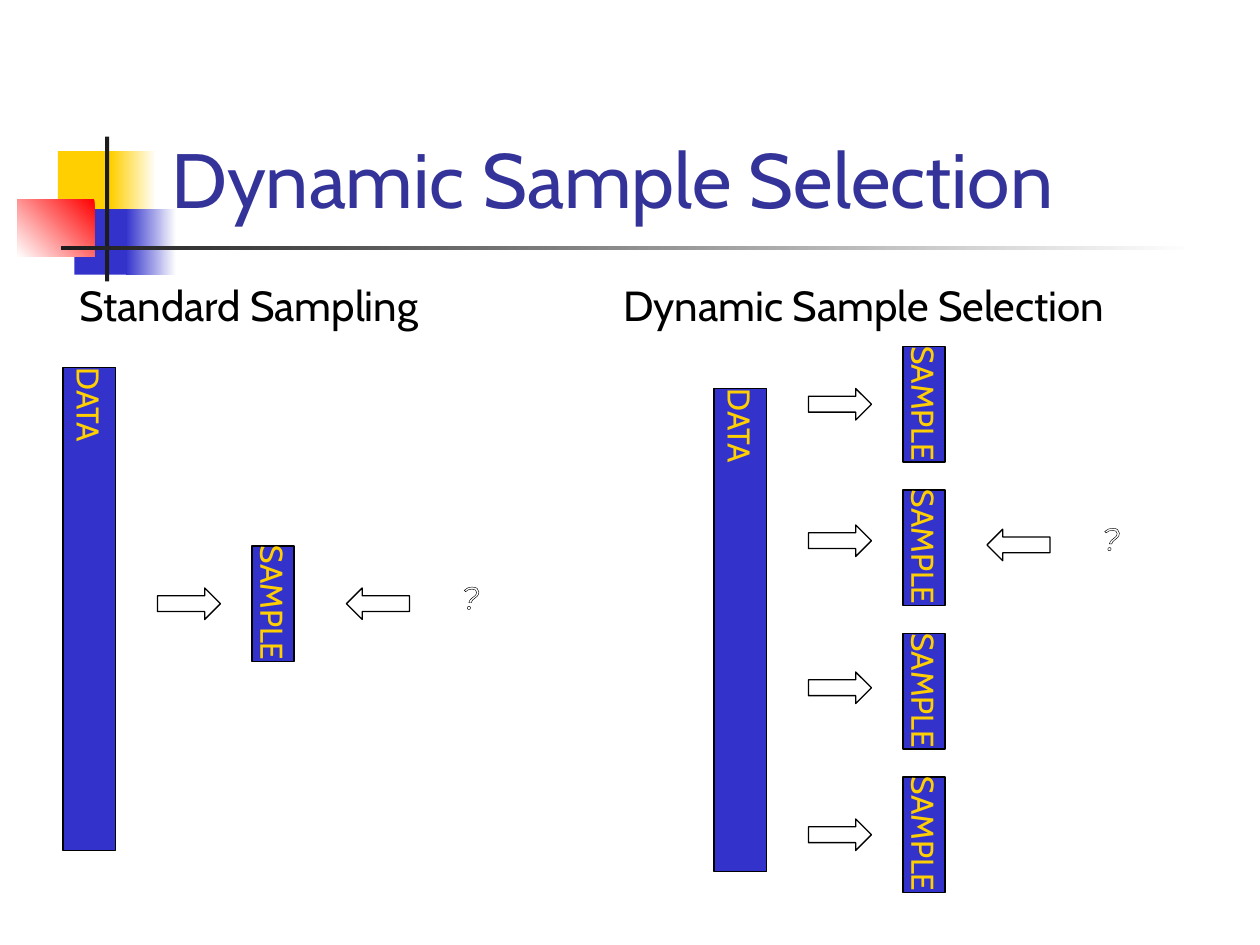
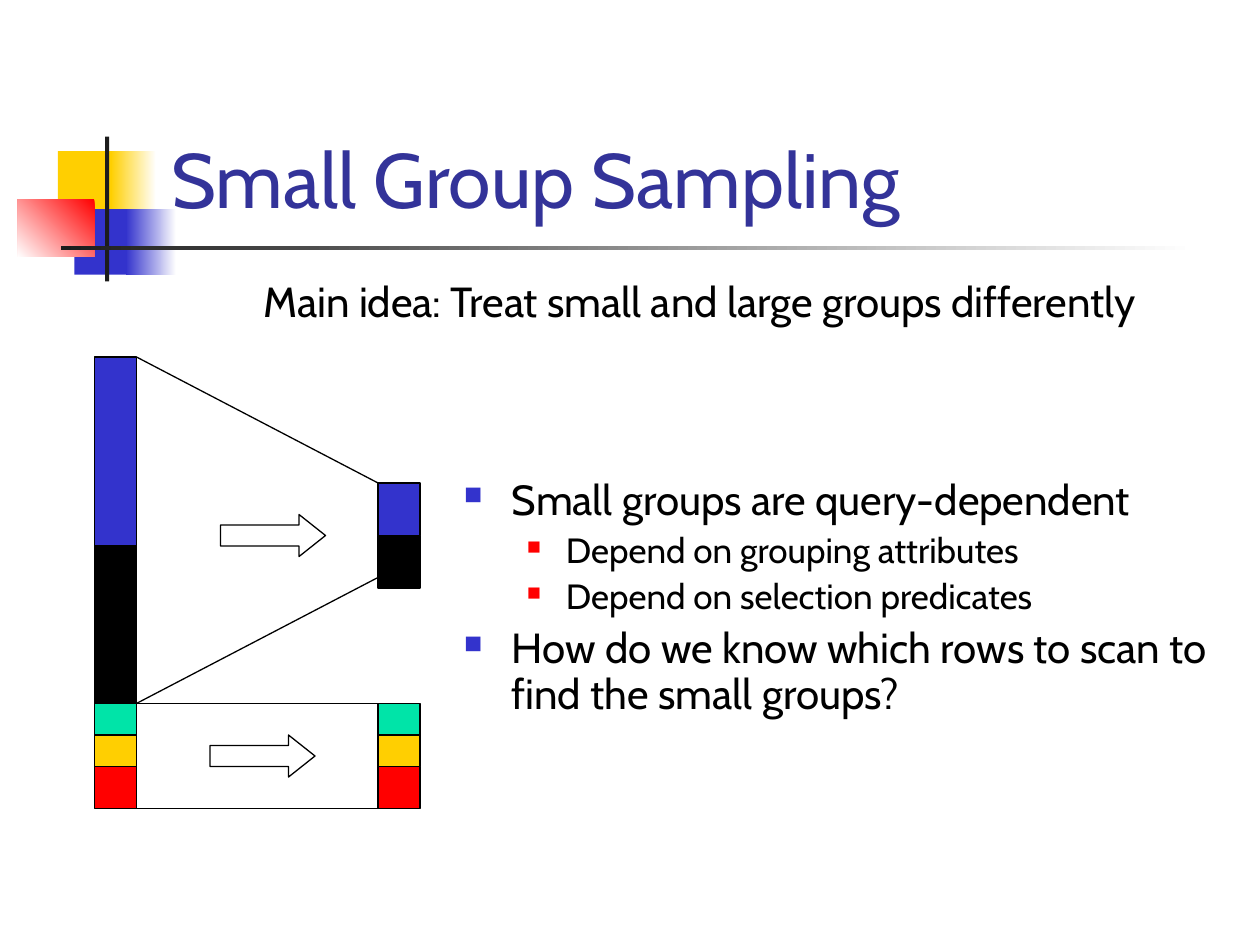
"""Build two slides on dynamic sample selection and small group sampling."""
from typing import NamedTuple, Optional

from lxml import etree
from pptx import Presentation
from pptx.dml.color import RGBColor
from pptx.enum.shapes import MSO_CONNECTOR, MSO_SHAPE
from pptx.enum.text import MSO_ANCHOR, MSO_AUTO_SIZE, PP_ALIGN
from pptx.oxml.ns import qn
from pptx.util import Emu, Inches, Pt

RECTANGLE = MSO_SHAPE.RECTANGLE
RIGHT_ARROW = MSO_SHAPE.RIGHT_ARROW
LEFT_ARROW = MSO_SHAPE.LEFT_ARROW
STRAIGHT = MSO_CONNECTOR.STRAIGHT
LEFT, CENTER = PP_ALIGN.LEFT, PP_ALIGN.CENTER
TOP, MIDDLE, BOTTOM = MSO_ANCHOR.TOP, MSO_ANCHOR.MIDDLE, MSO_ANCHOR.BOTTOM
FIT_SHAPE = MSO_AUTO_SIZE.SHAPE_TO_FIT_TEXT

WHITE = RGBColor(0xFF, 0xFF, 0xFF)
BLACK = RGBColor(0, 0, 0)
CHARCOAL = RGBColor(0x1C, 0x1C, 0x1C)
NAVY = RGBColor(0x33, 0x33, 0x99)
BLUE = RGBColor(0x33, 0x33, 0xCC)
YELLOW = RGBColor(0xFF, 0xCF, 0x01)
GREEN = RGBColor(0x00, 0xE4, 0xA8)
RED = RGBColor(0xFF, 0, 0)

MAIN_FONT = "Cabin"
MARK_FONT = "Montserrat"
SLIDE_WIDTH, SLIDE_HEIGHT = Inches(10), Inches(7.5)
COLUMNS, ROWS = 120, 90
OUTLINE = Pt(0.75)


class Area(NamedTuple):
    """Columns and rows that an element covers."""
    column: float
    row: float
    width: float
    height: float


class Ornament(NamedTuple):
    """Part of the title decoration, plain or fading."""
    area: Area
    color: RGBColor
    fade_to: Optional[RGBColor] = None
    angle: float = 180


class Segment(NamedTuple):
    """One coloured group within a stacked bar."""
    color: RGBColor
    rows: float


class Edge(NamedTuple):
    """Straight line between two grid points."""
    start: tuple[float, float]
    end: tuple[float, float]


class Bullet(NamedTuple):
    """Bulleted line with its level."""
    text: str
    level: int = 0


class BulletStyle(NamedTuple):
    """Look of one bullet level."""
    size: float
    margin: float
    hanging: float
    before: float
    color: RGBColor
    percent: int


ORNAMENTS = [
    Ornament(Area(5.52, 14.4, 5.76, 6.24), YELLOW),
    Ornament(Area(10.56, 14.4, 4.32, 6.24), WHITE, YELLOW),
    Ornament(Area(7.08, 19.92, 5.52, 6.24), BLUE),
    Ornament(Area(12, 19.92, 4.8, 6.24), WHITE, BLUE),
    Ornament(Area(1.68, 18.96, 7.32, 5.52), RED, WHITE, 225),
    Ornament(Area(10, 13, 0.4, 13.8), CHARCOAL),
    Ornament(Area(5.8, 23.4, 108, 0.4), WHITE, CHARCOAL),
]
TITLE_AREA = Area(15.12, 2.76, 102.24, 19.2)

SMALL_GROUPS = [Segment(GREEN, 3), Segment(YELLOW, 3), Segment(RED, 4)]
LARGE_GROUPS = [Segment(BLUE, 18), Segment(BLACK, 15)]
SAMPLED_GROUPS = [Segment(BLUE, 5), Segment(BLACK, 5)]
BAR_WIDTH = 4
EDGES = [
    Edge((12, 77), (37, 77)),
    Edge((13, 67), (37, 67)),
    Edge((13, 67), (36, 55)),
    Edge((13, 34), (36, 46)),
]
BULLETS = [
    Bullet("Small groups are query-dependent"),
    Bullet("Depend on grouping attributes", 1),
    Bullet("Depend on selection predicates", 1),
    Bullet("How do we know which rows to scan to find the small groups?"),
]
BULLET_STYLES = [
    BulletStyle(24, 0.38, 0.38, 6, BLUE, 60),
    BulletStyle(20, 0.81, 0.31, 5, RED, 55),
]


def across(columns: float) -> Emu:
    """Turn grid columns into a length."""
    return Emu(round(SLIDE_WIDTH * columns / COLUMNS))


def down(rows: float) -> Emu:
    """Turn grid rows into a length."""
    return Emu(round(SLIDE_HEIGHT * rows / ROWS))


def place(area: Area) -> tuple[Emu, Emu, Emu, Emu]:
    """Turn a grid area into left, top, width and height."""
    return across(area.column), down(area.row), across(area.width), down(area.height)


def add_figure(page, kind, area: Area, color: Optional[RGBColor] = None, outlined: bool = True):
    """Draw a preset shape, hollow when it has no colour."""
    figure = page.shapes.add_shape(kind, *place(area))
    figure.shadow.inherit = False
    if color is None:
        figure.fill.background()
    else:
        figure.fill.solid()
        figure.fill.fore_color.rgb = color
    if outlined:
        figure.line.color.rgb = BLACK
        figure.line.width = OUTLINE
    else:
        figure.line.fill.background()
    return figure


def add_ornament(page, ornament: Ornament) -> None:
    """Draw one part of the title decoration."""
    figure = add_figure(page, RECTANGLE, ornament.area, ornament.color, outlined=False)
    if ornament.fade_to is not None:
        figure.fill.gradient()
        figure.fill.gradient_angle = ornament.angle
        for stop, color in zip(figure.fill.gradient_stops, (ornament.color, ornament.fade_to)):
            stop.color.rgb = color


def style_text(frame, size: float, color: RGBColor, align=LEFT, font: str = MAIN_FONT) -> None:
    """Format every run of a text frame."""
    for paragraph in frame.paragraphs:
        paragraph.alignment = align
        for run in paragraph.runs:
            run.font.name = font
            run.font.size = Pt(size)
            run.font.color.rgb = color


def add_text(page, area: Area, text: str, anchor=TOP, wrap: bool = True):
    """Add a text box and return its frame."""
    frame = page.shapes.add_textbox(*place(area)).text_frame
    frame.word_wrap = wrap
    frame.vertical_anchor = anchor
    frame.text = text
    return frame


def add_caption(page, area: Area, text: str) -> None:
    """Add a centred one-line caption."""
    frame = add_text(page, area, text, wrap=False)
    frame.auto_size = FIT_SHAPE
    style_text(frame, 24, BLACK, CENTER)


def add_vertical_block(page, area: Area, text: str) -> None:
    """Draw a blue block with a centred label that runs downwards."""
    frame = add_figure(page, RECTANGLE, area, BLUE).text_frame
    frame.word_wrap = True
    frame.vertical_anchor = MIDDLE
    frame.margin_left = frame.margin_right = 0
    frame.margin_top = frame.margin_bottom = 0
    frame._txBody.bodyPr.set("vert", "eaVert")
    frame.text = text
    style_text(frame, 18, YELLOW, CENTER)


def add_query(page, column: float, row: float) -> None:
    """Draw a query arrow followed by an outlined question mark."""
    add_figure(page, LEFT_ARROW, Area(column, row, 6, 3))
    frame = add_text(page, Area(column + 9.8, row - 3.36, 3.6, 8.4), "?", MIDDLE, False)
    style_text(frame, 18, WHITE, font=MARK_FONT)
    font = frame.paragraphs[0].runs[0].font
    font.italic = True
    outline = etree.Element(qn("a:ln"), w=str(int(OUTLINE)))
    fill = etree.SubElement(outline, qn("a:solidFill"))
    etree.SubElement(fill, qn("a:srgbClr"), val=str(BLACK))
    font._element.insert(0, outline)


def add_stack(page, column: float, row: float, segments: list[Segment]) -> None:
    """Draw a bar of segments from the top downwards."""
    for segment in segments:
        add_figure(page, RECTANGLE, Area(column, row, BAR_WIDTH, segment.rows), segment.color)
        row += segment.rows


def add_edge(page, edge: Edge) -> None:
    """Draw a thin black line without shadow."""
    (start_column, start_row), (end_column, end_row) = edge
    line = page.shapes.add_connector(
        STRAIGHT, across(start_column), down(start_row), across(end_column), down(end_row))
    line.line.color.rgb = BLACK
    line.line.width = OUTLINE
    etree.SubElement(line._element.spPr, qn("a:effectLst"))


def add_bullets(page, area: Area, bullets: list[Bullet]) -> None:
    """Add a bulleted list of two levels."""
    frame = add_text(page, area, "\n".join(bullet.text for bullet in bullets))
    style_text(frame, BULLET_STYLES[0].size, BLACK)
    for index, (paragraph, bullet) in enumerate(zip(frame.paragraphs, bullets)):
        style = BULLET_STYLES[bullet.level]
        properties = paragraph._p.get_or_add_pPr()
        properties.set("marL", str(Inches(style.margin)))
        properties.set("indent", str(-Inches(style.hanging)))
        color = etree.SubElement(properties, qn("a:buClr"))
        etree.SubElement(color, qn("a:srgbClr"), val=str(style.color))
        etree.SubElement(properties, qn("a:buSzPct"), val=str(style.percent * 1000))
        etree.SubElement(properties, qn("a:buChar"), char="■")
        paragraph.level = bullet.level
        paragraph.line_spacing = 0.9
        if index:
            paragraph.space_before = Pt(style.before)
        paragraph.runs[0].font.size = Pt(style.size)


def add_page(deck, title: str):
    """Add a blank page with the shared decoration and title."""
    page = deck.slides.add_slide(deck.slide_layouts[6])
    for ornament in ORNAMENTS:
        add_ornament(page, ornament)
    style_text(add_text(page, TITLE_AREA, title, BOTTOM), 44, NAVY)
    return page


def build_selection_page(deck) -> None:
    """Compare standard sampling with dynamic sample selection."""
    page = add_page(deck, "Dynamic Sample Selection")
    add_caption(page, Area(4.56, 26, 38.28, 6), "Standard Sampling")
    add_vertical_block(page, Area(6, 35, 5, 46), "DATA")
    add_figure(page, RIGHT_ARROW, Area(15, 56, 6, 3))
    add_vertical_block(page, Area(24, 52, 4, 11), "SAMPLE")
    add_query(page, 33, 56)

    add_caption(page, Area(56.4, 26, 51.72, 6), "Dynamic Sample Selection")
    add_vertical_block(page, Area(68, 37, 5, 46), "DATA")
    for index, arrow_row in enumerate((37, 50, 64, 78)):
        add_figure(page, RIGHT_ARROW, Area(77, arrow_row, 6, 3))
        add_vertical_block(page, Area(86, 33 + index * 41 / 3, 4, 11), "SAMPLE")
    add_query(page, 94, 50.4)


def build_group_page(deck) -> None:
    """Show how small and large groups are sampled."""
    page = add_page(deck, "Small Group Sampling")
    add_caption(page, Area(17.88, 25.68, 97.44, 6), "Main idea: Treat small and large groups differently")
    add_stack(page, 9, 34, LARGE_GROUPS + SMALL_GROUPS)
    add_stack(page, 36, 46, SAMPLED_GROUPS)
    add_stack(page, 36, 67, SMALL_GROUPS)
    for edge in EDGES:
        add_edge(page, edge)
    for column, row in ((21, 49), (20, 70)):
        arrow = add_figure(page, RIGHT_ARROW, Area(column, row, 10, 4))
        arrow.adjustments[1] = 0.63
    add_bullets(page, Area(43, 45, 77, 26), BULLETS)


def main() -> None:
    """Build and save the deck."""
    deck = Presentation()
    deck.slide_width, deck.slide_height = SLIDE_WIDTH, SLIDE_HEIGHT
    build_selection_page(deck)
    build_group_page(deck)
    deck.save("out.pptx")


if __name__ == "__main__":
    main()
